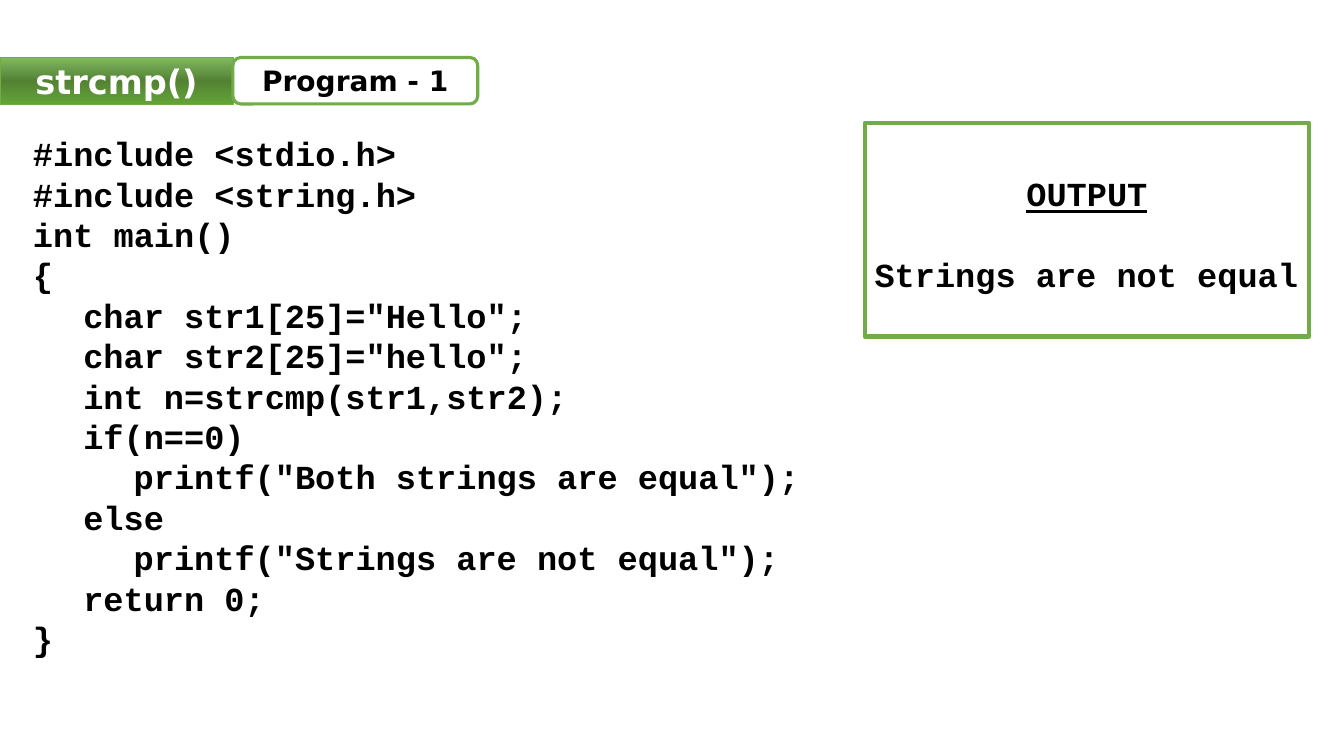
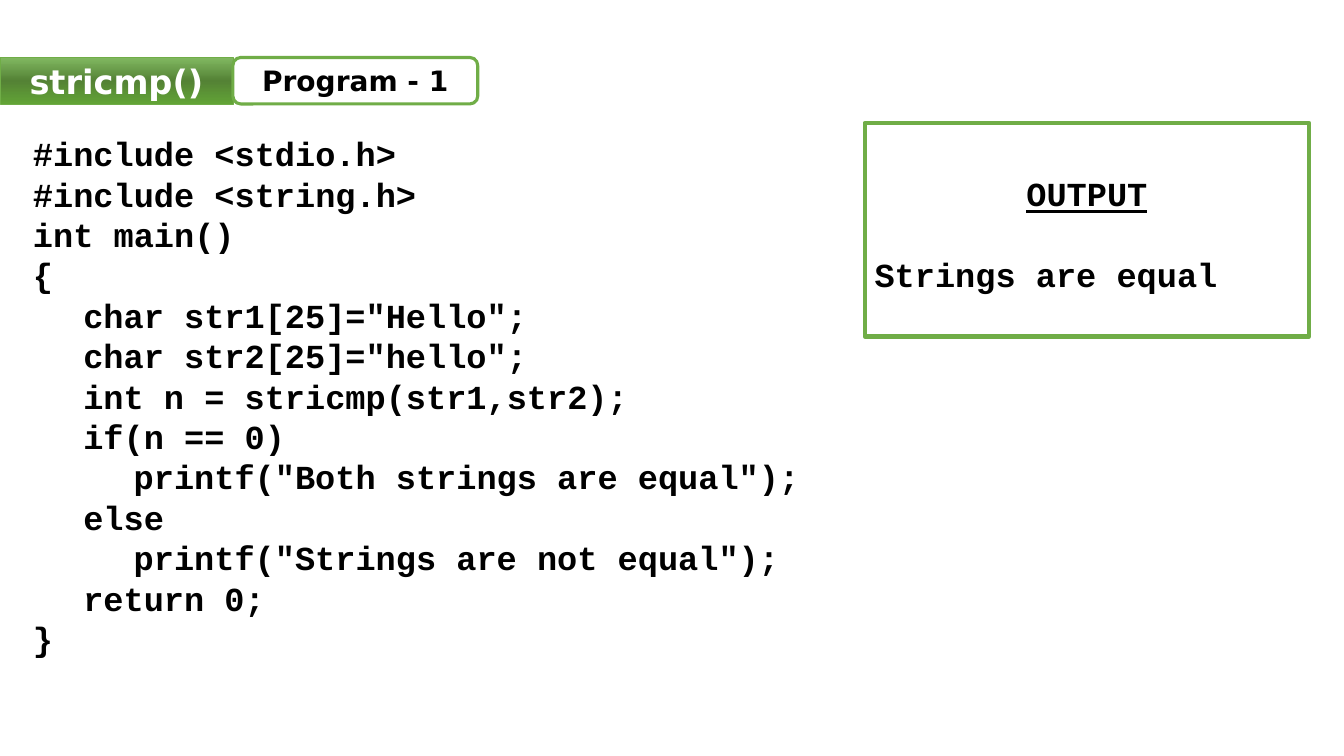
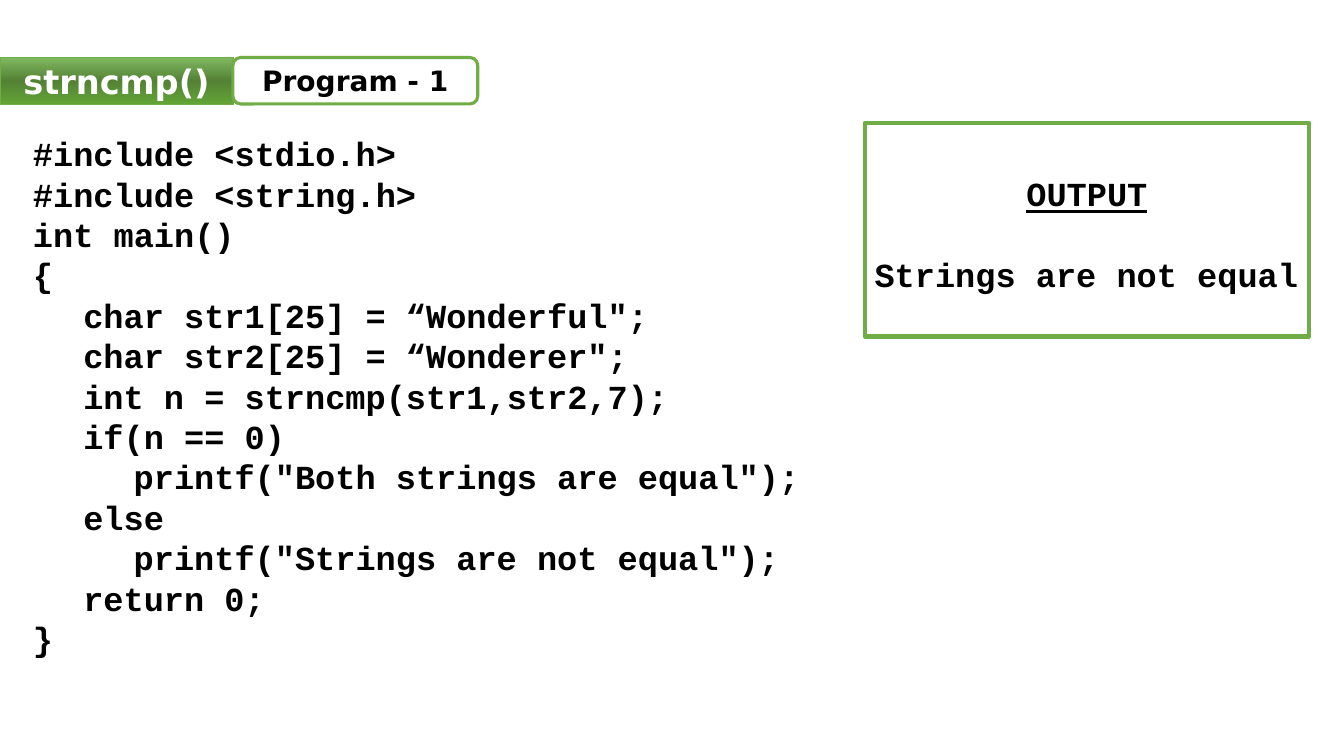
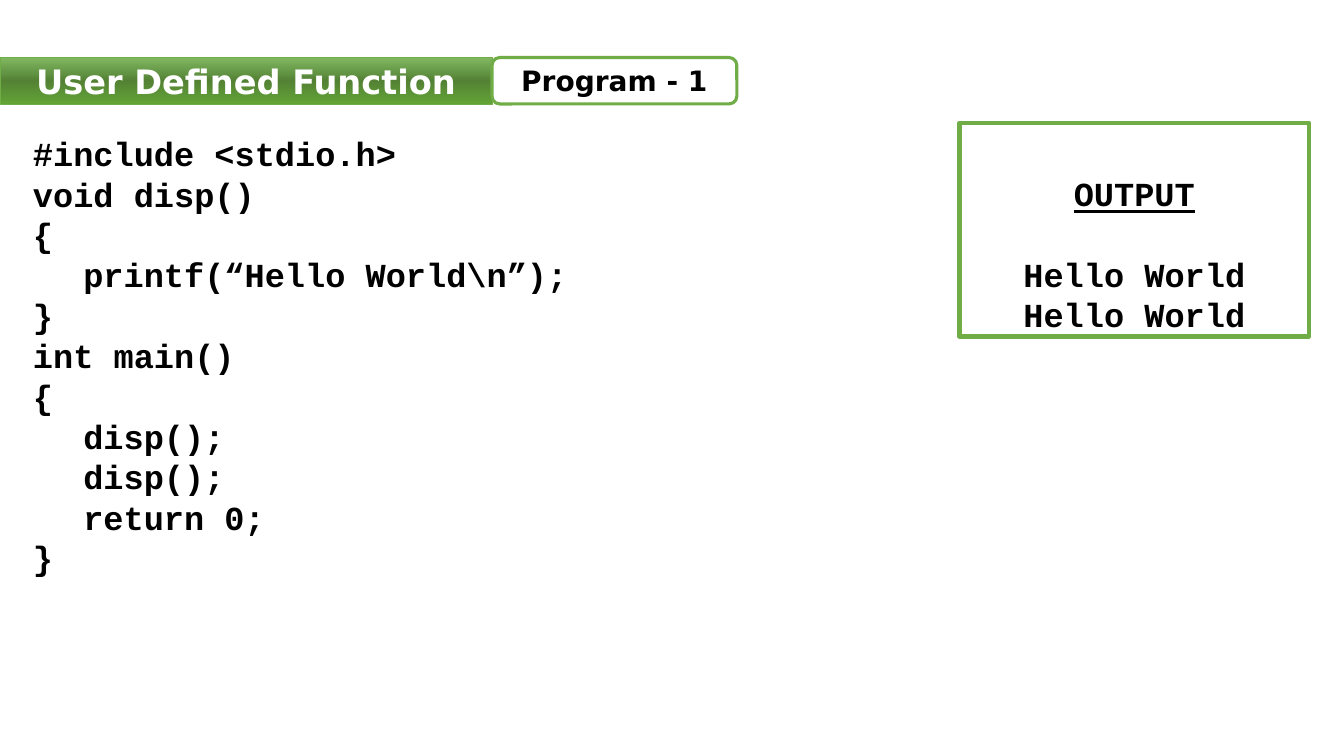
from copy import deepcopy

from pptx import Presentation
from pptx.dml.color import RGBColor
from pptx.enum.shapes import MSO_SHAPE
from pptx.enum.text import MSO_ANCHOR, MSO_AUTO_SIZE, PP_ALIGN
from pptx.oxml.ns import qn
from pptx.util import Cm, Pt

RECTANGLE = MSO_SHAPE.RECTANGLE
ROUNDED = MSO_SHAPE.ROUNDED_RECTANGLE
TOP, MIDDLE = MSO_ANCHOR.TOP, MSO_ANCHOR.MIDDLE
LEFT, CENTER = PP_ALIGN.LEFT, PP_ALIGN.CENTER
NO_AUTOFIT = MSO_AUTO_SIZE.NONE

GREEN, BLACK, WHITE = "70AD47", "000000", "FFFFFF"
BAND_GRADIENT = ("81B861", "548235", "62A336")
CODE_FONT, HEADING_FONT = "Courier New", "DejaVu Sans"

BAND_TOP, BAND_HEIGHT = 1.45, 1.17
PROGRAM_WIDTH = 6.17
OUTPUT_RIGHT = 32.99
INDENT_STEP = 1.27
CODE_LINE = Pt(28.85)

COMPARE_CODE = """#include <stdio.h>
#include <string.h>
int main()
{
    char str1[25]%s;
    char str2[25]%s;
    int %s;
    if(%s)
        printf("Both strings are equal");
    else
        printf("Strings are not equal");
    return 0;
}"""

DISPLAY_CODE = """#include <stdio.h>
void disp()
{
    printf(“Hello World\\n”);
}
int main()
{
    disp();
    disp();
    return 0;
}"""


def color(hex_code):
    return RGBColor.from_string(hex_code)


def place(shape, left, top, width, height):
    shape.left, shape.top = Cm(left), Cm(top)
    shape.width, shape.height = Cm(width), Cm(height)


def set_outline(shape, width):
    shape.line.color.rgb = color(GREEN)
    shape.line.width = Pt(width)


def set_frame(frame, anchor, top_inset=0.13):
    frame.auto_size = NO_AUTOFIT
    frame.word_wrap = True
    frame.vertical_anchor = anchor
    frame.margin_left = frame.margin_right = Cm(0.25)
    frame.margin_top, frame.margin_bottom = Cm(top_inset), Cm(0.13)


def write(paragraph, text, font, size, ink, align):
    paragraph.alignment = align
    run = paragraph.add_run()
    run.text = text
    run.font.name = font
    run.font.size = Pt(size)
    run.font.bold = True
    run.font.color.rgb = color(ink)
    return run


def write_code(paragraph, text, align=LEFT, gap=0):
    paragraph.line_spacing = CODE_LINE
    paragraph.space_before = gap
    return write(paragraph, text, CODE_FONT, 24, BLACK, align)


def next_paragraph(frame, index):
    return frame.add_paragraph() if index else frame.paragraphs[0]


def fill_band(shape):
    shape.fill.gradient()
    shape.fill.gradient_angle = 270
    stop_list = next(shape.element.spPr.iter(qn("a:gsLst")))
    stop_list.insert(1, deepcopy(stop_list[0]))
    for index, (stop, shade) in enumerate(zip(shape.fill.gradient_stops, BAND_GRADIENT)):
        stop.position = index / 2
        stop.color.rgb = color(shade)


def add_heading(slide, topic, width):
    title = slide.shapes.title
    place(title, 0, BAND_TOP, width, BAND_HEIGHT)
    fill_band(title)
    set_outline(title, 0.5)
    set_frame(title.text_frame, MIDDLE)
    write(title.text_frame.paragraphs[0], topic, HEADING_FONT, 24, WHITE, CENTER)


def add_box(slide, kind, left, top, width, height, outline):
    box = slide.shapes.add_shape(kind, Cm(left), Cm(top), Cm(width), Cm(height))
    box.shadow.inherit = False
    set_outline(box, outline)
    return box


def add_program_label(slide, left):
    label = add_box(slide, ROUNDED, left, BAND_TOP, PROGRAM_WIDTH, BAND_HEIGHT, 2.25)
    label.fill.solid()
    label.fill.fore_color.rgb = color(WHITE)
    set_frame(label.text_frame, MIDDLE)
    write(label.text_frame.paragraphs[0], "Program - 1", HEADING_FONT, 20, BLACK, CENTER)


def add_code(slide, code):
    listing = slide.placeholders[1]
    place(listing, 0.58, 2.67, 32.59, 14.22)
    frame = listing.text_frame
    set_frame(frame, TOP, 0.68)
    for index, line in enumerate(code.splitlines()):
        statement = line.lstrip()
        level = (len(line) - len(statement)) // 4
        paragraph = next_paragraph(frame, index)
        paragraph.level = level
        properties = paragraph._p.get_or_add_pPr()
        properties.set("marL", str(Cm(INDENT_STEP * level)))
        properties.set("indent", "0")
        properties.append(properties.makeelement(qn("a:buNone"), {}))
        write_code(paragraph, statement)


def add_output(slide, lines, width, align):
    output = add_box(slide, RECTANGLE, OUTPUT_RIGHT - width, 3.1, width, 5.38, 3)
    output.fill.background()
    frame = output.text_frame
    set_frame(frame, TOP, 1.25)
    write_code(frame.paragraphs[0], "OUTPUT", CENTER).font.underline = True
    for index, line in enumerate(lines):
        write_code(frame.add_paragraph(), line, align, 0 if index else CODE_LINE)


def add_program_slide(deck, topic, code, output, band_width=5.87, output_width=11.2,
                      output_align=LEFT):
    slide = deck.slides.add_slide(deck.slide_layouts[1])
    add_code(slide, code)
    add_heading(slide, topic, band_width)
    add_program_label(slide, band_width)
    add_output(slide, output, output_width, output_align)


def main():
    deck = Presentation()
    deck.slide_width, deck.slide_height = Cm(33.87), Cm(19.05)
    add_program_slide(
        deck, "strcmp()",
        COMPARE_CODE % ('="Hello"', '="hello"', "n=strcmp(str1,str2)", "n==0"),
        ["Strings are not equal"])
    add_program_slide(
        deck, "stricmp()",
        COMPARE_CODE % ('="Hello"', '="hello"', "n = stricmp(str1,str2)", "n == 0"),
        ["Strings are equal"])
    add_program_slide(
        deck, "strncmp()",
        COMPARE_CODE % (' = “Wonderful"', ' = “Wonderer"',
                        "n = strncmp(str1,str2,7)", "n == 0"),
        ["Strings are not equal"])
    add_program_slide(
        deck, "User Defined Function", DISPLAY_CODE, ["Hello World"] * 2,
        band_width=12.4, output_width=8.81, output_align=CENTER)
    deck.save("out.pptx")


if __name__ == "__main__":
    main()
